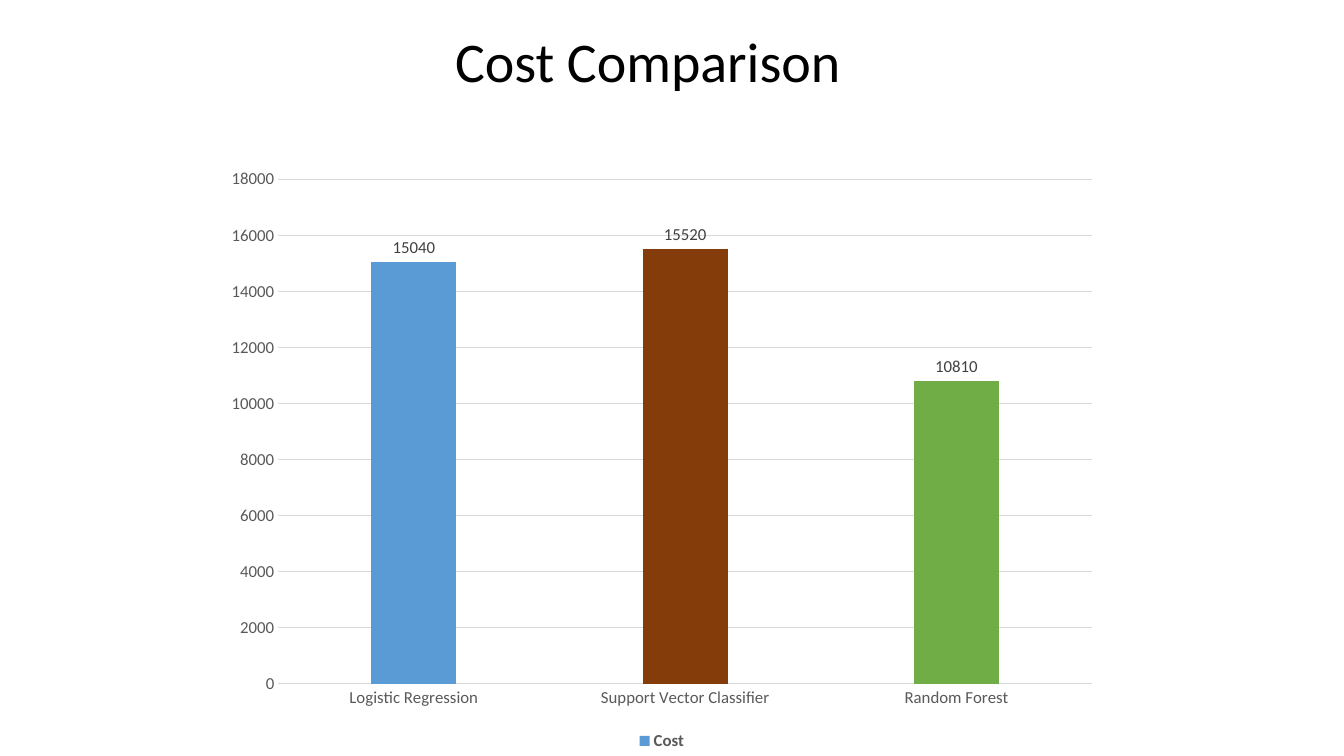
from pptx import Presentation
from pptx.chart.data import CategoryChartData
from pptx.dml.color import RGBColor
from pptx.enum.chart import XL_CHART_TYPE, XL_LABEL_POSITION, XL_LEGEND_POSITION, XL_TICK_MARK
from pptx.enum.text import MSO_ANCHOR, PP_ALIGN
from pptx.util import Inches, Pt

FONT = "Calibri"
BLACK = RGBColor(0x00, 0x00, 0x00)
AXIS_GRAY = RGBColor(0x59, 0x59, 0x59)
LABEL_GRAY = RGBColor(0x40, 0x40, 0x40)
GRID_GRAY = RGBColor(0xD9, 0xD9, 0xD9)
BLUE = RGBColor(0x5B, 0x9B, 0xD5)
BROWN = RGBColor(0x84, 0x3C, 0x0B)
GREEN = RGBColor(0x70, 0xAD, 0x47)

COSTS = {
    "Logistic Regression": 15040,
    "Support Vector Classifier": 15520,
    "Random Forest": 10810,
}


def format_font(font, size=12, color=AXIS_GRAY, bold=False):
    font.name = FONT
    font.size = Pt(size)
    font.bold = bold
    font.color.rgb = color


def add_text(tf, text, size=12, color=BLACK, align=PP_ALIGN.CENTER):
    p = tf.paragraphs[0]
    p.alignment = align
    r = p.add_run()
    r.text = text
    format_font(r.font, size, color)


def format_line(line, color=GRID_GRAY):
    line.color.rgb = color
    line.width = Pt(0.75)


def add_title(s, left, top, width, height):
    title = s.shapes.title
    title.left, title.top, title.width, title.height = left, top, width, height
    title.text_frame.word_wrap = True
    title.text_frame.vertical_anchor = MSO_ANCHOR.MIDDLE
    add_text(title.text_frame, "Cost Comparison", size=40)


def add_cost_chart(s, left, top, width, height):
    data = CategoryChartData()
    data.categories = list(COSTS)
    data.add_series("Cost", list(COSTS.values()))
    chart = s.shapes.add_chart(
        XL_CHART_TYPE.COLUMN_CLUSTERED, left, top, width, height, data
    ).chart
    format_font(chart.font, 10, BLACK)
    chart.has_title = False

    chart.has_legend = True
    chart.legend.position = XL_LEGEND_POSITION.BOTTOM
    chart.legend.include_in_layout = False
    format_font(chart.legend.font, bold=True)

    for axis in (chart.category_axis, chart.value_axis):
        axis.major_tick_mark = XL_TICK_MARK.NONE
        axis.minor_tick_mark = XL_TICK_MARK.NONE
        format_font(axis.tick_labels.font)
    format_line(chart.category_axis.format.line)
    chart.value_axis.format.line.fill.background()
    format_line(chart.value_axis.major_gridlines.format.line)

    plot = chart.plots[0]
    plot.gap_width = 219
    plot.overlap = -27
    plot.vary_by_categories = False
    series = plot.series[0]
    series.format.fill.solid()
    series.format.fill.fore_color.rgb = BLUE
    for i, color in enumerate((BROWN, GREEN), start=1):
        fill = series.points[i].format.fill
        fill.solid()
        fill.fore_color.rgb = color

    labels = series.data_labels
    labels.show_value = True
    labels.position = XL_LABEL_POSITION.OUTSIDE_END
    format_font(labels.font, color=LABEL_GRAY)


def main():
    prs = Presentation()
    prs.slide_width = Inches(13.33)
    prs.slide_height = Inches(7.5)
    s = prs.slides.add_slide(prs.slide_layouts[5])
    add_title(s, Inches(2.46), Inches(0.21), Inches(7.93), Inches(0.77))
    add_cost_chart(s, Inches(2.12), Inches(1.56), Inches(8.89), Inches(5.93))
    prs.save("out.pptx")


if __name__ == "__main__":
    main()
